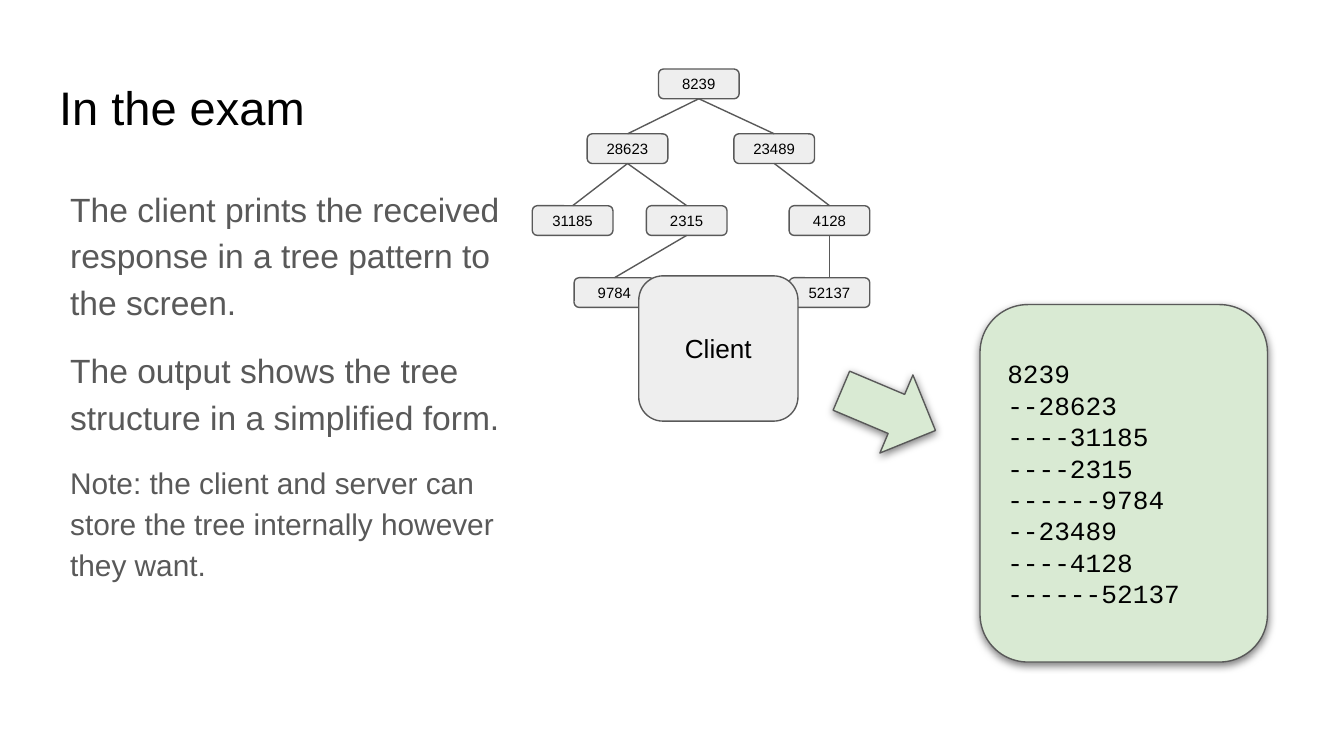
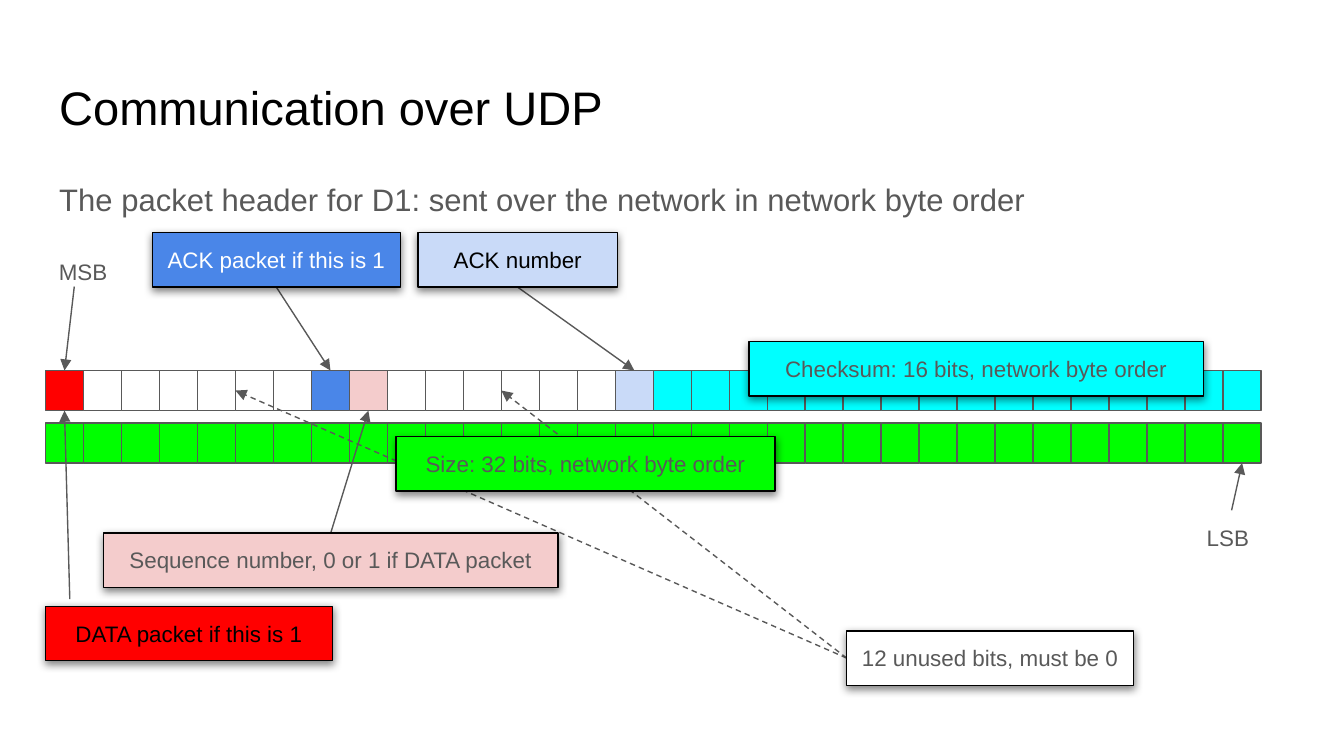
from dataclasses import dataclass
from typing import Optional

from lxml.etree import SubElement
from pptx import Presentation
from pptx.dml.color import RGBColor
from pptx.enum.dml import MSO_LINE
from pptx.enum.shapes import MSO_CONNECTOR, MSO_SHAPE
from pptx.enum.text import MSO_ANCHOR, MSO_AUTO_SIZE, PP_ALIGN
from pptx.oxml.ns import qn
from pptx.util import Pt


@dataclass(frozen=True)
class Theme:
    black: str = "000000"
    white: str = "FFFFFF"
    grey: str = "595959"
    box: str = "EEEEEE"
    mint: str = "D9EAD3"
    red: str = "FF0000"
    green: str = "00FF00"
    cyan: str = "00FFFF"
    blue: str = "4A86E8"
    pale_blue: str = "C9DAF8"
    pink: str = "F4CCCC"
    font: str = "Arial"
    code_font: str = "Courier New"
    title_size: float = 25.2
    body_size: float = 18
    note_size: float = 16
    lead_size: float = 16.65
    block_size: float = 14
    label_size: float = 12
    node_size: float = 8
    line_width: float = 0.75
    inset: float = 7.2


THEME = Theme()


@dataclass(frozen=True)
class Box:
    left: float
    top: float
    width: float
    height: float

    @property
    def center(self) -> float:
        return self.left + self.width / 2

    @property
    def middle(self) -> float:
        return self.top + self.height / 2

    @property
    def bottom(self) -> float:
        return self.top + self.height

    @property
    def lengths(self) -> tuple:
        return Pt(self.left), Pt(self.top), Pt(self.width), Pt(self.height)


@dataclass(frozen=True)
class TextStyle:
    size: float
    color: str = THEME.black
    font: str = THEME.font
    align: PP_ALIGN = PP_ALIGN.LEFT
    line_spacing: float = 1.0
    before: float = 0
    after: float = 0


@dataclass(frozen=True)
class TreeNode:
    label: str
    center: float
    level: int
    parent: Optional[str] = None


@dataclass(frozen=True)
class Callout:
    text: str
    box: Box
    fill: str
    color: str = THEME.grey


@dataclass(frozen=True)
class Arrow:
    start: tuple
    end: tuple
    dashed: bool = False


# Slide 1 data, parents before their children
TITLE_BOX = Box(24.5, 35, 671, 45.1)
LEVEL_TOPS = (37, 71.7, 110.2, 148.8)
NODE_WIDTH, NODE_HEIGHT = 43.2, 15.9
TREE = (
    TreeNode("8239", 374.4, 0),
    TreeNode("28623", 336.2, 1, "8239"),
    TreeNode("31185", 306.8, 2, "28623"),
    TreeNode("2315", 367.9, 2, "28623"),
    TreeNode("9784", 329.2, 3, "2315"),
    TreeNode("23489", 414.8, 1, "8239"),
    TreeNode("4128", 444.4, 2, "23489"),
    TreeNode("52137", 444.4, 3, "4128"),
)

# Slide 2 data
BIT_COUNT, BIT_WIDTH = 32, 20.35
FLAGS_ROW = Box(24.4, 198.5, BIT_COUNT * BIT_WIDTH, 21.5)
SIZE_ROW = Box(24.4, 226.6, BIT_COUNT * BIT_WIDTH, 21.5)
FLAG_FILLS = {0: THEME.red, 7: THEME.blue, 8: THEME.pink, 15: THEME.pale_blue}
FLAG_FILLS.update({bit: THEME.cyan for bit in range(16, BIT_COUNT)})
LABEL_HEIGHT = 29.2

SIZE = Callout("Size: 32 bits, network byte order",
               Box(212.2, 234, 203, LABEL_HEIGHT), THEME.green)
CHECKSUM = Callout("Checksum: 16 bits, network byte order",
                   Box(401.2, 183, 243.6, LABEL_HEIGHT), THEME.cyan)
UNUSED = Callout("12 unused bits, must be 0",
                 Box(453.6, 338, 153.6, LABEL_HEIGHT), THEME.white)
DATA = Callout("DATA packet if this is 1",
               Box(24.4, 324.8, 153.6, LABEL_HEIGHT), THEME.red, THEME.black)
SEQUENCE = Callout("Sequence number, 0 or 1 if DATA packet",
                   Box(55.4, 285.5, 243.6, LABEL_HEIGHT), THEME.pink)
ACK = Callout("ACK packet if this is 1",
              Box(81.7, 124.7, 132.8, LABEL_HEIGHT), THEME.blue, THEME.white)
ACK_NUMBER = Callout("ACK number",
                     Box(224, 124.7, 106.8, LABEL_HEIGHT), THEME.pale_blue, THEME.black)
CALLOUTS = (SIZE, CHECKSUM, UNUSED, DATA, SEQUENCE, ACK, ACK_NUMBER)


def bit_left(bit: int) -> float:
    return FLAGS_ROW.left + bit * BIT_WIDTH


def bit_center(bit: int) -> float:
    return bit_left(bit) + BIT_WIDTH / 2


ARROWS = (
    Arrow((39.8, 153.5), (bit_center(0), FLAGS_ROW.top)),
    Arrow((659.8, 273.4), (bit_center(31), SIZE_ROW.bottom)),
    Arrow((UNUSED.box.left, UNUSED.box.middle), (bit_left(5), FLAGS_ROW.middle), True),
    Arrow((UNUSED.box.left, UNUSED.box.middle), (bit_left(12), FLAGS_ROW.middle), True),
    Arrow((37.4, 321), (bit_center(0), FLAGS_ROW.bottom)),
    Arrow((SEQUENCE.box.center, SEQUENCE.box.top), (bit_center(8), FLAGS_ROW.bottom)),
    Arrow((ACK.box.center, ACK.box.bottom), (bit_center(7), FLAGS_ROW.top)),
    Arrow((ACK_NUMBER.box.center, ACK_NUMBER.box.bottom), (bit_center(15), FLAGS_ROW.top)),
)


def rgb(color: str) -> RGBColor:
    return RGBColor.from_string(color)


def write(shape, lines: list, anchor: MSO_ANCHOR = MSO_ANCHOR.TOP) -> None:
    """Fill a shape with (text, style) paragraphs."""
    frame = shape.text_frame
    frame.word_wrap = True
    frame.auto_size = MSO_AUTO_SIZE.NONE
    frame.vertical_anchor = anchor
    frame.margin_left = frame.margin_right = Pt(THEME.inset)
    frame.margin_top = frame.margin_bottom = Pt(THEME.inset)
    for index, (text, style) in enumerate(lines):
        paragraph = frame.add_paragraph() if index else frame.paragraphs[0]
        paragraph.text = text
        paragraph.alignment = style.align
        paragraph.line_spacing = style.line_spacing
        paragraph.space_before = Pt(style.before)
        paragraph.space_after = Pt(style.after)
        paragraph.font.name = style.font
        paragraph.font.size = Pt(style.size)
        paragraph.font.color.rgb = rgb(style.color)


def add_block(shapes, kind: MSO_SHAPE, box: Box, fill: str,
              line: str = THEME.grey, shadow: bool = False):
    shape = shapes.add_shape(kind, *box.lengths)
    shape.fill.solid()
    shape.fill.fore_color.rgb = rgb(fill)
    shape.line.color.rgb = rgb(line)
    shape.line.width = Pt(THEME.line_width)
    shape.shadow.inherit = False
    if shadow:
        effects = shape._element.spPr.find(qn("a:effectLst"))
        outer = SubElement(effects, qn("a:outerShdw"), blurRad=str(Pt(4.5)),
                           dist=str(Pt(1.5)), dir="5400000", algn="bl", rotWithShape="0")
        tint = SubElement(outer, qn("a:srgbClr"), val=THEME.black)
        SubElement(tint, qn("a:alpha"), val="50000")
    return shape


def add_line(shapes, start: tuple, end: tuple):
    connector = shapes.add_connector(
        MSO_CONNECTOR.STRAIGHT, *(Pt(value) for value in (*start, *end)))
    connector.line.color.rgb = rgb(THEME.grey)
    connector.line.width = Pt(THEME.line_width)
    SubElement(connector._element.spPr, qn("a:effectLst"))
    return connector


def add_arrow(shapes, arrow: Arrow) -> None:
    connector = add_line(shapes, arrow.start, arrow.end)
    if arrow.dashed:
        connector.line.dash_style = MSO_LINE.DASH
    SubElement(connector._element.spPr.get_or_add_ln(), qn("a:tailEnd"), type="triangle")


def add_slide(presentation, title: str, body_box: Box, lines: list):
    """Add a slide with its title and unbulleted body text."""
    slide = presentation.slides.add_slide(presentation.slide_layouts[1])
    body = slide.placeholders[1]
    for shape, box in ((slide.shapes.title, TITLE_BOX), (body, body_box)):
        shape.left, shape.top, shape.width, shape.height = box.lengths
    write(slide.shapes.title, [(title, TextStyle(THEME.title_size))])
    write(body, lines)
    for paragraph in body.text_frame.paragraphs:
        properties = paragraph._p.get_or_add_pPr()
        properties.set("marL", "0")
        properties.set("indent", "0")
        # The bullet setting must precede the default run properties
        no_bullet = properties.makeelement(qn("a:buNone"), {})
        properties.find(qn("a:defRPr")).addprevious(no_bullet)
    return slide


def add_tree(slide) -> None:
    group = slide.shapes.add_group_shape()
    style = TextStyle(THEME.node_size, align=PP_ALIGN.CENTER)
    boxes, nodes = {}, {}
    for node in TREE:
        box = Box(node.center - NODE_WIDTH / 2, LEVEL_TOPS[node.level],
                  NODE_WIDTH, NODE_HEIGHT)
        shape = add_block(group.shapes, MSO_SHAPE.ROUNDED_RECTANGLE, box, THEME.box)
        write(shape, [(node.label, style)], MSO_ANCHOR.MIDDLE)
        boxes[node.label], nodes[node.label] = box, shape
        if node.parent:
            parent = boxes[node.parent]
            edge = add_line(group.shapes, (parent.center, parent.bottom), (box.center, box.top))
            edge.begin_connect(nodes[node.parent], 2)
            edge.end_connect(shape, 0)


def add_bit_row(slide, row: Box, fills: dict, default: str) -> None:
    group = slide.shapes.add_group_shape()
    for bit in range(BIT_COUNT):
        add_block(group.shapes, MSO_SHAPE.RECTANGLE,
                  Box(bit_left(bit), row.top, BIT_WIDTH, row.height), fills.get(bit, default))


def build_exam_slide(presentation) -> None:
    first = TextStyle(THEME.body_size, THEME.grey, line_spacing=1.15)
    second = TextStyle(THEME.body_size, THEME.grey, line_spacing=1.15, before=12)
    note = TextStyle(THEME.note_size, THEME.grey, line_spacing=1.15, before=12, after=12)
    slide = add_slide(presentation, "In the exam", Box(30.4, 90.7, 261.4, 284.4), [
        ("The client prints the received response in a tree pattern to the screen.", first),
        ("The output shows the tree structure in a simplified form.", second),
        ("Note: the client and server can store the tree internally however they want.", note),
    ])
    add_tree(slide)
    # Client and its printed output
    client = add_block(slide.shapes, MSO_SHAPE.ROUNDED_RECTANGLE,
                       Box(342.2, 147.8, 85.3, 77.8), THEME.box)
    write(client, [("Client", TextStyle(THEME.block_size, align=PP_ALIGN.CENTER))],
          MSO_ANCHOR.MIDDLE)
    output = add_block(slide.shapes, MSO_SHAPE.FLOWCHART_ALTERNATE_PROCESS,
                       Box(525, 163.2, 154, 191.5), THEME.mint, shadow=True)
    code = TextStyle(THEME.block_size, font=THEME.code_font)
    write(output, [("--" * node.level + node.label, code) for node in TREE], MSO_ANCHOR.MIDDLE)
    pointer = add_block(slide.shapes, MSO_SHAPE.RIGHT_ARROW,
                        Box(448.6, 197.3, 54.7, 45.4), THEME.mint, shadow=True)
    pointer.rotation = 22.9


def build_packet_slide(presentation) -> None:
    lead = TextStyle(THEME.lead_size, THEME.grey, line_spacing=0.95, after=12)
    slide = add_slide(presentation, "Communication over UDP", Box(24.5, 90.7, 666.7, 34.6), [
        ("The packet header for D1: sent over the network in network byte order", lead)])
    add_bit_row(slide, FLAGS_ROW, FLAG_FILLS, THEME.white)
    add_bit_row(slide, SIZE_ROW, {}, THEME.green)
    # End markers
    for text, left, top in (("MSB", 24.5, 131), ("LSB", 639.4, 273.4)):
        marker = slide.shapes.add_textbox(*Box(left, top, 41, LABEL_HEIGHT).lengths)
        write(marker, [(text, TextStyle(THEME.label_size, THEME.grey))])
    # Arrows run behind the field labels, so no line crosses a text
    for arrow in ARROWS:
        add_arrow(slide.shapes, arrow)
    for callout in CALLOUTS:
        label = add_block(slide.shapes, MSO_SHAPE.RECTANGLE, callout.box, callout.fill,
                          THEME.black, shadow=True)
        write(label, [(callout.text, TextStyle(THEME.label_size, callout.color,
                                               align=PP_ALIGN.CENTER))])


def main() -> None:
    presentation = Presentation()
    presentation.slide_width, presentation.slide_height = Pt(720), Pt(405)
    build_exam_slide(presentation)
    build_packet_slide(presentation)
    presentation.save("out.pptx")


if __name__ == "__main__":
    main()
